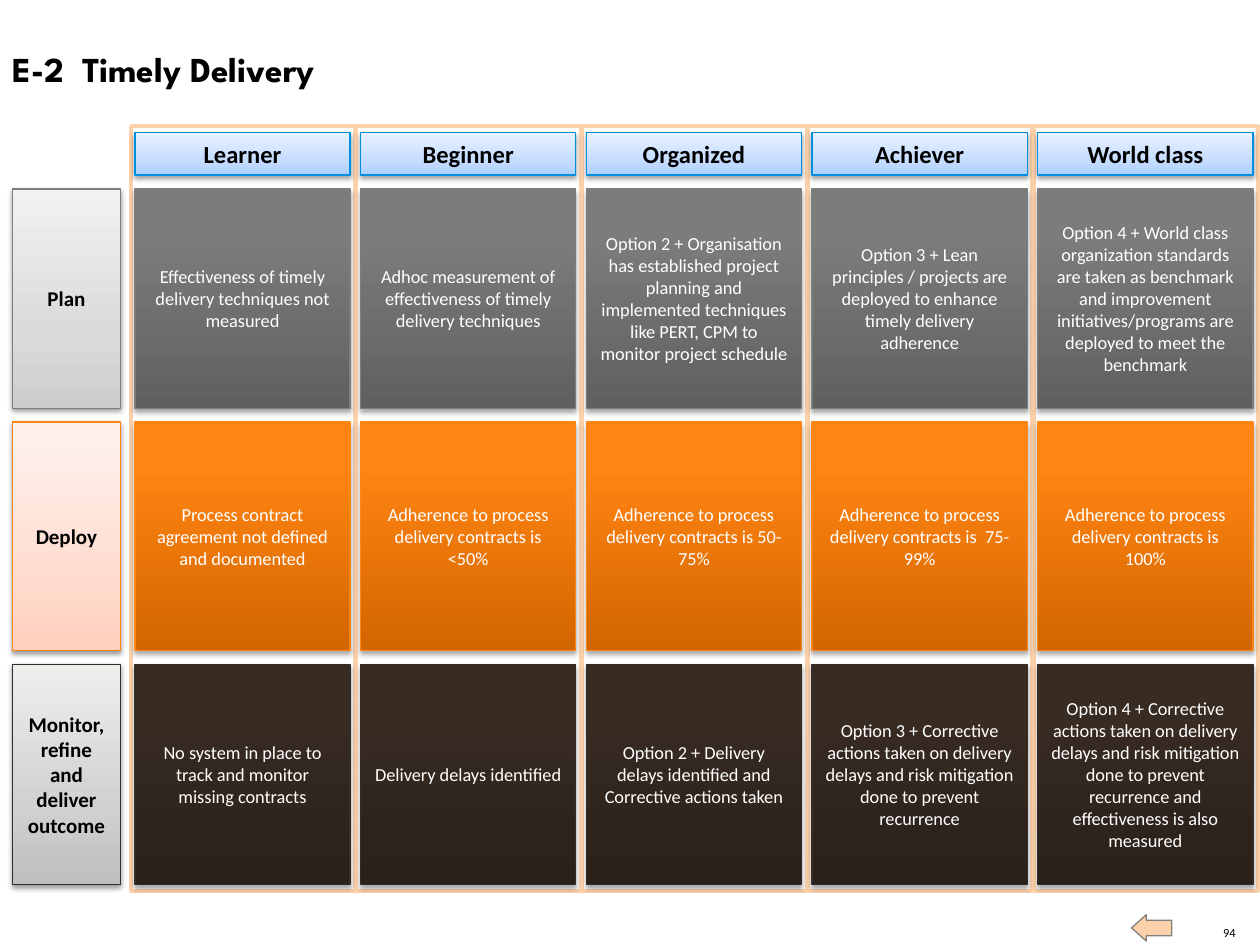
from copy import deepcopy

from lxml.etree import SubElement
from pptx import Presentation
from pptx.dml.color import RGBColor
from pptx.enum.shapes import MSO_SHAPE
from pptx.enum.text import MSO_ANCHOR, MSO_AUTO_SIZE, PP_ALIGN
from pptx.oxml.ns import qn
from pptx.util import Cm, Pt

COLORS = {
    "black": "000000",
    "white": "FFFFFF",
    "peach": "FCD1AA",
    "arrow line": "808080",
    "blue line": "008FDC",
    "gray line": "7D7D7D",
    "orange line": "FF8615",
    "brown line": "352C25",
    "header": ["AECFFF", "C6DDFF", "E9F2FF"],
    "plan label": ["CDCDCD", "DBDBDB", "F1F1F1"],
    "plan cell": ["606060", "7C7C7C", "7D7D7D"],
    "deploy label": ["FFCFBD", "FFDDD1", "FFF2EE"],
    "deploy cell": ["D26600", "FF8412", "FF8514"],
    "monitor label": ["C0BEBC", "D3D1D0", "EEEEED"],
    "monitor cell": ["2A211B", "372B22", "372B22"],
}
LEVELS = ["Learner", "Beginner", "Organized", "Achiever", "World class"]
STAGES = [
    ("Plan", "plan", "gray line", 4.42, [
        "Effectiveness of timely delivery techniques not measured",
        "Adhoc measurement of effectiveness of timely delivery techniques",
        "Option 2 + Organisation has established project planning and implemented "
        "techniques like PERT, CPM to monitor project schedule",
        "Option 3 + Lean principles / projects are deployed to enhance timely "
        "delivery adherence",
        "Option 4 + World class organization standards are taken as benchmark and "
        "improvement initiatives/programs are deployed to meet the benchmark",
    ]),
    ("Deploy", "deploy", "orange line", 4.6, [
        "Process contract agreement not defined and documented",
        "Adherence to process delivery contracts is <50%",
        "Adherence to process delivery contracts is 50-75%",
        "Adherence to process delivery contracts is  75-99%",
        "Adherence to process delivery contracts is 100%",
    ]),
    ("Monitor, refine and deliver outcome", "monitor", "brown line", 4.44, [
        "No system in place to track and monitor missing contracts",
        "Delivery delays identified",
        "Option 2 + Delivery delays identified and Corrective actions taken",
        "Option 3 + Corrective actions taken on delivery delays and risk mitigation "
        "done to prevent recurrence",
        "Option 4 + Corrective actions taken on delivery delays and risk mitigation "
        "done to prevent recurrence and effectiveness is also measured",
    ]),
]
LABEL_LEFT, LABEL_WIDTH = 0.25, 2.18
PANEL_LEFT, PANEL_PITCH, PANEL_WIDTH = 2.64, 4.55, 4.52
CELL_INSET, CELL_WIDTH = 0.08, 4.34
HEADER_TOP, HEADER_HEIGHT, ROW_GAP = 2.67, 0.86, 0.28


def write_text(holder, text, size, color="black", bold=False, font="Calibri",
               align=PP_ALIGN.CENTER, anchor=MSO_ANCHOR.MIDDLE, wrap=True):
    frame = holder.text_frame
    frame.word_wrap = wrap
    frame.vertical_anchor = anchor
    paragraph = frame.paragraphs[0]
    paragraph.alignment = align
    run = paragraph.add_run()
    run.text = text
    run.font.size = Pt(size)
    run.font.name = font
    run.font.bold = bold
    run.font.color.rgb = RGBColor.from_string(COLORS[color])


def add_box(left, top, width, height, fill, line, middle_stop, shadow_alpha, shadow_distance):
    box = slide.shapes.add_shape(MSO_SHAPE.RECTANGLE, Cm(left), Cm(top), Cm(width), Cm(height))
    box.fill.gradient()
    box.fill.gradient_angle = 90
    properties = box.element.spPr
    stop_list = properties.find(".//" + qn("a:gsLst"))
    stop_list.append(deepcopy(stop_list[-1]))
    for stop, position, color in zip(box.fill.gradient_stops, [0, middle_stop, 1], COLORS[fill]):
        stop.position = position
        stop.color.rgb = RGBColor.from_string(color)
    box.line.color.rgb = RGBColor.from_string(COLORS[line])
    box.line.width = Pt(0.75)
    box.shadow.inherit = False
    shadow = SubElement(properties.find(qn("a:effectLst")), qn("a:outerShdw"),
                        blurRad=str(Pt(3.1)), dist=str(Pt(shadow_distance)),
                        dir="5400000", rotWithShape="0")
    shadow_color = SubElement(shadow, qn("a:srgbClr"), val=COLORS["black"])
    SubElement(shadow_color, qn("a:alpha"), val=str(shadow_alpha * 1000))
    return box


presentation = Presentation()
presentation.slide_width = Cm(25.4)
presentation.slide_height = Cm(19.05)
slide = presentation.slides.add_slide(presentation.slide_layouts[5])

title = slide.shapes.title
title.left, title.top, title.width, title.height = Cm(0), Cm(0.84), Cm(21.84), Cm(1.12)
title.text_frame.auto_size = MSO_AUTO_SIZE.NONE
write_text(title, "E-2  Timely Delivery", size=20, bold=True, font="League Spartan",
           align=PP_ALIGN.LEFT, anchor=MSO_ANCHOR.TOP)

page_number = slide.shapes.add_textbox(Cm(24.61), Cm(18.64), Cm(0.3), Cm(0.3))
number_frame = page_number.text_frame
number_frame.margin_left = number_frame.margin_right = 0
number_frame.margin_top = number_frame.margin_bottom = 0
write_text(page_number, "94", size=7.1, align=PP_ALIGN.RIGHT, anchor=MSO_ANCHOR.BOTTOM, wrap=False)

back_arrow = slide.shapes.add_shape(MSO_SHAPE.RIGHT_ARROW, Cm(22.81), Cm(18.44), Cm(0.81), Cm(0.53))
back_arrow.rotation = 180
back_arrow.adjustments[0] = 0.59
back_arrow.adjustments[1] = 0.56
back_arrow.shadow.inherit = False
back_arrow.fill.solid()
back_arrow.fill.fore_color.rgb = RGBColor.from_string(COLORS["peach"])
back_arrow.line.color.rgb = RGBColor.from_string(COLORS["arrow line"])
back_arrow.line.width = Pt(0.75)

for column, level in enumerate(LEVELS):
    panel_left = PANEL_LEFT + column * PANEL_PITCH
    panel = slide.shapes.add_shape(MSO_SHAPE.RECTANGLE, Cm(panel_left), Cm(2.54),
                                   Cm(PANEL_WIDTH), Cm(15.42))
    panel.shadow.inherit = False
    panel.fill.solid()
    panel.fill.fore_color.rgb = RGBColor.from_string(COLORS["white"])
    panel.line.color.rgb = RGBColor.from_string(COLORS["peach"])
    panel.line.width = Pt(2)
    header = add_box(panel_left + CELL_INSET, HEADER_TOP, CELL_WIDTH, HEADER_HEIGHT,
                     "header", "blue line", 0.35, 38, 1.6)
    write_text(header, level, size=14, bold=True)

row_top = HEADER_TOP + HEADER_HEIGHT + ROW_GAP
for stage, palette, line, row_height, descriptions in STAGES:
    label = add_box(LABEL_LEFT, row_top, LABEL_WIDTH, row_height,
                    palette + " label", line, 0.35, 38, 1.6)
    write_text(label, stage, size=12, bold=True)
    for column, description in enumerate(descriptions):
        cell_left = PANEL_LEFT + column * PANEL_PITCH + CELL_INSET
        cell = add_box(cell_left, row_top, CELL_WIDTH, row_height,
                       palette + " cell", line, 0.8, 35, 1.8)
        write_text(cell, description, size=10.5, color="white")
    row_top += row_height + ROW_GAP

presentation.save("out.pptx")
